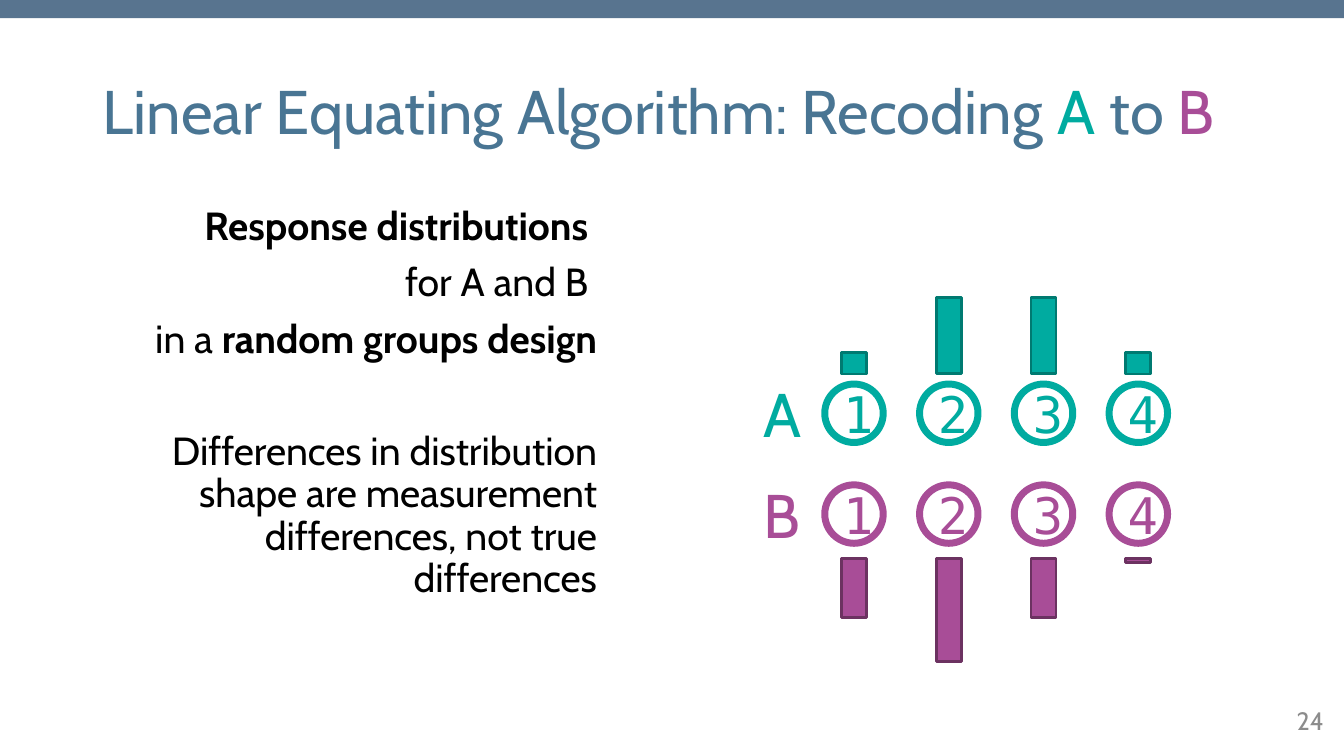
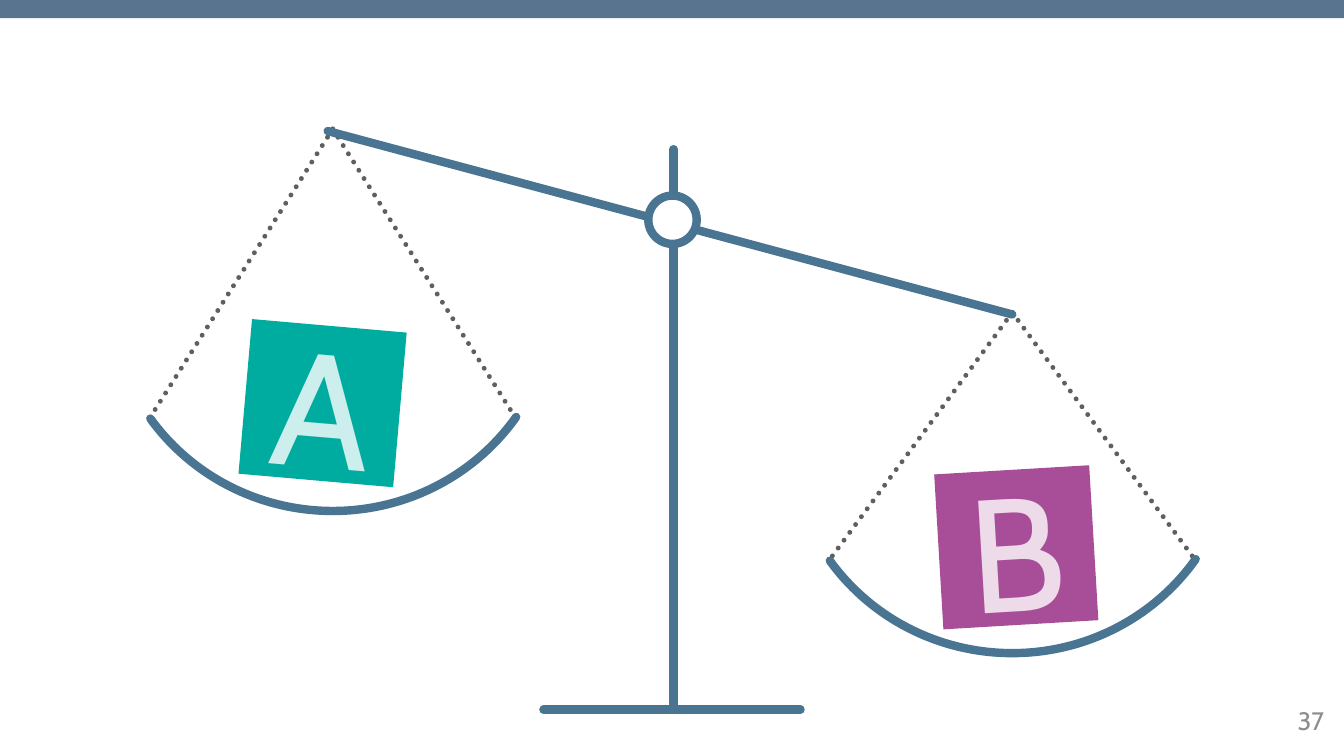
from lxml import etree
from pptx import Presentation
from pptx.dml.color import RGBColor
from pptx.enum.dml import MSO_LINE
from pptx.enum.shapes import MSO_CONNECTOR, MSO_SHAPE
from pptx.enum.text import MSO_ANCHOR, MSO_AUTO_SIZE, PP_ALIGN
from pptx.oxml.ns import qn
from pptx.util import Inches, Pt

STRAIGHT = MSO_CONNECTOR.STRAIGHT
RECT, OVAL, ARC = MSO_SHAPE.RECTANGLE, MSO_SHAPE.OVAL, MSO_SHAPE.ARC
LEFT, CENTER, RIGHT = PP_ALIGN.LEFT, PP_ALIGN.CENTER, PP_ALIGN.RIGHT
MIDDLE, TOP = MSO_ANCHOR.MIDDLE, MSO_ANCHOR.TOP
DOTTED = MSO_LINE.ROUND_DOT
NO_FIT = MSO_AUTO_SIZE.NONE

COLORS = {
    "band": "58748F", "blue": "497593", "white": "FFFFFF", "black": "000000",
    "rope": "5F5F5F", "number": "8C8C8C",
    "A": "00ABA0", "A edge": "007A71", "A pale": "CCEEEC",
    "B": "A84D97", "B edge": "6C3261", "B pale": "EEDBEA",
}
FONT, DIGIT_FONT = "Cabin", "DejaVu Sans Mono"
WIDTH, HEIGHT = 13.33, 7.5
LAYOUT_CONTENT, LAYOUT_BLANK = 1, 6


def color(name):
    """Look up a colour of the palette."""
    return RGBColor.from_string(COLORS[name])


def box(left, top, width, height):
    """Turn a box in inches into lengths."""
    return [Inches(value) for value in (left, top, width, height)]


def style_run(run, size, hue, font=FONT, bold=False):
    """Give a run its font, size, colour and weight."""
    run.font.name, run.font.size, run.font.bold = font, Pt(size), bold
    run.font.color.rgb = color(hue)


def write(shape, text, size, hue, align=CENTER, anchor=MIDDLE, font=FONT):
    """Put one line of text in a shape or text box."""
    frame = shape.text_frame
    frame.text = text
    frame.vertical_anchor = anchor
    line = frame.paragraphs[0]
    line.alignment = align
    style_run(line.runs[0], size, hue, font)


def add_runs(paragraph, parts, size):
    """Fill a paragraph from (text, colour, bold) parts."""
    paragraph.line_spacing = 0.9
    for text, hue, bold in parts:
        run = paragraph.add_run()
        run.text = text
        style_run(run, size, hue, bold=bold)


def add_figure(shapes, kind, place, fill=None, line=None, weight=0):
    """Add a flat preset shape; a missing fill or line is left empty."""
    figure = shapes.add_shape(kind, *box(*place))
    figure.shadow.inherit = False
    if fill:
        figure.fill.solid()
        figure.fill.fore_color.rgb = color(fill)
    else:
        figure.fill.background()
    if line:
        figure.line.color.rgb = color(line)
        figure.line.width = Pt(weight)
    else:
        figure.line.fill.background()
    return figure


def round_ends(figure):
    """Give a line or arc round ends."""
    figure.element.spPr.find(qn("a:ln")).set("cap", "rnd")


def add_line(shapes, start, end, hue="blue", weight=6, dash=None):
    """Draw a straight line with round ends between two points."""
    line = shapes.add_connector(STRAIGHT, *box(*start, *end))
    line.line.color.rgb = color(hue)
    line.line.width = Pt(weight)
    if dash:
        line.line.dash_style = dash
    round_ends(line)
    etree.SubElement(line.element.spPr, qn("a:effectLst"))


def add_master_band(deck, slide):
    """Move a top band onto the master so that every slide shows it."""
    band = add_figure(slide.shapes, RECT, (0, 0, WIDTH, 0.18), "band")
    deck.slide_master.element.cSld.spTree.insert(2, band.element)


def add_page_number(slide, number):
    """Write the page number in the bottom right corner."""
    page = slide.shapes.add_textbox(*box(9.42, 6.95, 3.81, 0.4))
    page.text_frame.word_wrap = True
    write(page, str(number), 18, "number", RIGHT)


def place_placeholder(placeholder, place, anchor):
    """Move a placeholder and return its text frame."""
    (placeholder.left, placeholder.top,
     placeholder.width, placeholder.height) = box(*place)
    frame = placeholder.text_frame
    frame.auto_size = NO_FIT
    frame.vertical_anchor = anchor
    return frame


def fill_title(slide, parts):
    """Set the title in its coloured parts."""
    frame = place_placeholder(slide.shapes.title, (0.92, 0.63, 11.5, 1.02), MIDDLE)
    frame.paragraphs[0].alignment = LEFT
    add_runs(frame.paragraphs[0], [(text, hue, False) for text, hue in parts], 44)


def fill_body(slide, place, paragraphs):
    """Set right-aligned paragraphs, each (space before, parts)."""
    frame = place_placeholder(slide.placeholders[1], place, TOP)
    for index, (space, parts) in enumerate(paragraphs):
        paragraph = frame.add_paragraph() if index else frame.paragraphs[0]
        paragraph.alignment = RIGHT
        paragraph.space_before = Pt(space)
        add_runs(paragraph, [(text, "black", bold) for text, bold in parts], 28)
        settings = paragraph._p.get_or_add_pPr()
        settings.set("marL", "0")
        settings.set("indent", "0")
        etree.SubElement(settings, qn("a:buNone"))


def add_response_row(slide, left, top, form, bars, bars_above):
    """Draw a form's letter, its numbered options and their bars."""
    size, step, bar_width = 0.58, 0.94, 0.25
    for index, bar in enumerate(bars):
        x = left + index * step
        option = add_figure(slide.shapes, OVAL, (x, top, size, size), "white", form, 5)
        write(option, str(index + 1), 36, form, font=DIGIT_FONT)
        bar_top = top - 0.1 - bar if bars_above else top + size + 0.15
        bar_left = x + (size - bar_width) / 2
        add_figure(slide.shapes, RECT, (bar_left, bar_top, bar_width, bar),
                   form, form + " edge", 2)
    letter = slide.shapes.add_textbox(*box(left - 0.71, top - 0.13, 0.56, 0.84))
    letter.text_frame.word_wrap = False
    write(letter, form, 44, form, RIGHT, TOP)


def add_pan(shapes, hook_x, hook_y, rim_y):
    """Hang a pan from a hook by two dotted ropes."""
    reach, bowl_width, bowl_height = 1.81, 4.43, 4.34
    for side in (-1, 1):
        add_line(shapes, (hook_x, hook_y), (hook_x + side * reach, rim_y),
                 "rope", 3.5, DOTTED)
    place = (hook_x - bowl_width / 2, rim_y - 3.41, bowl_width, bowl_height)
    bowl = add_figure(shapes, ARC, place, line="blue", weight=6)
    bowl.adjustments[0], bowl.adjustments[1] = 20.52, 87.18
    round_ends(bowl)


def add_balance(slide):
    """Draw the tilted balance with its stand."""
    balance = slide.shapes.add_group_shape().shapes
    add_pan(balance, 3.3, 1.28, 4.14)
    add_pan(balance, 10.04, 3.1, 5.55)
    add_line(balance, (6.68, 1.48), (6.68, 7.04))
    add_line(balance, (3.25, 1.3), (10.04, 3.12))
    add_line(balance, (5.39, 7.04), (7.94, 7.04))
    add_figure(balance, OVAL, (6.43, 1.94, 0.48, 0.48), "white", "blue", 6)


def add_weight(slide, left, top, form, tilt):
    """Lay a tilted square with a form's letter in a pan."""
    weight = add_figure(slide.shapes, RECT, (left, top, 1.54, 1.54), form)
    weight.rotation = tilt
    write(weight, form, 115, form + " pale")


def build_recoding_slide(deck):
    """Build the slide on recoding A to B."""
    slide = deck.slides.add_slide(deck.slide_layouts[LAYOUT_CONTENT])
    add_master_band(deck, slide)
    fill_title(slide, [("Linear Equating Algorithm: Recoding ", "blue"),
                       ("A ", "A"), ("to ", "blue"), ("B", "B")])
    fill_body(slide, (0.92, 2, 5.1, 4.76), [
        (10, [("Response distributions ", True)]),
        (10, [("for A and B ", False)]),
        (10, [("in a ", False), ("random groups design", True)]),
        (50, [("Differences in distribution shape are measurement "
               "differences, not true differences", False)]),
    ])
    add_response_row(slide, 8.18, 3.81, "A", (0.21, 0.76, 0.76, 0.21), True)
    add_response_row(slide, 8.18, 4.81, "B", (0.59, 1.02, 0.59, 0.04), False)
    add_page_number(slide, 24)


def build_balance_slide(deck):
    """Build the slide that weighs A against B."""
    slide = deck.slides.add_slide(deck.slide_layouts[LAYOUT_BLANK])
    add_balance(slide)
    add_weight(slide, 2.43, 3.23, "A", 5)
    add_weight(slide, 9.31, 4.66, "B", -3.4)
    add_page_number(slide, 37)


deck = Presentation()
deck.slide_width, deck.slide_height = Inches(WIDTH), Inches(HEIGHT)
build_recoding_slide(deck)
build_balance_slide(deck)
deck.save("out.pptx")
